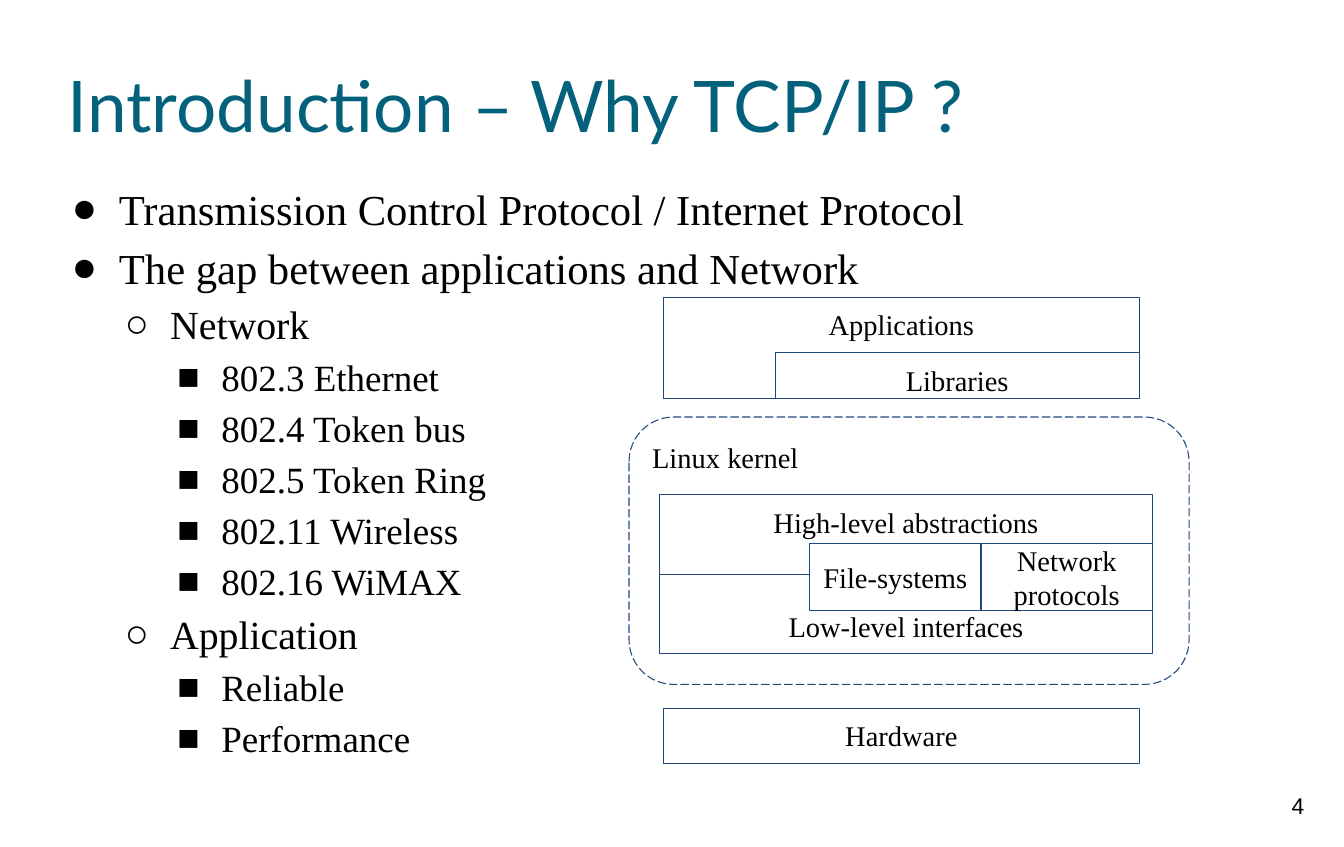
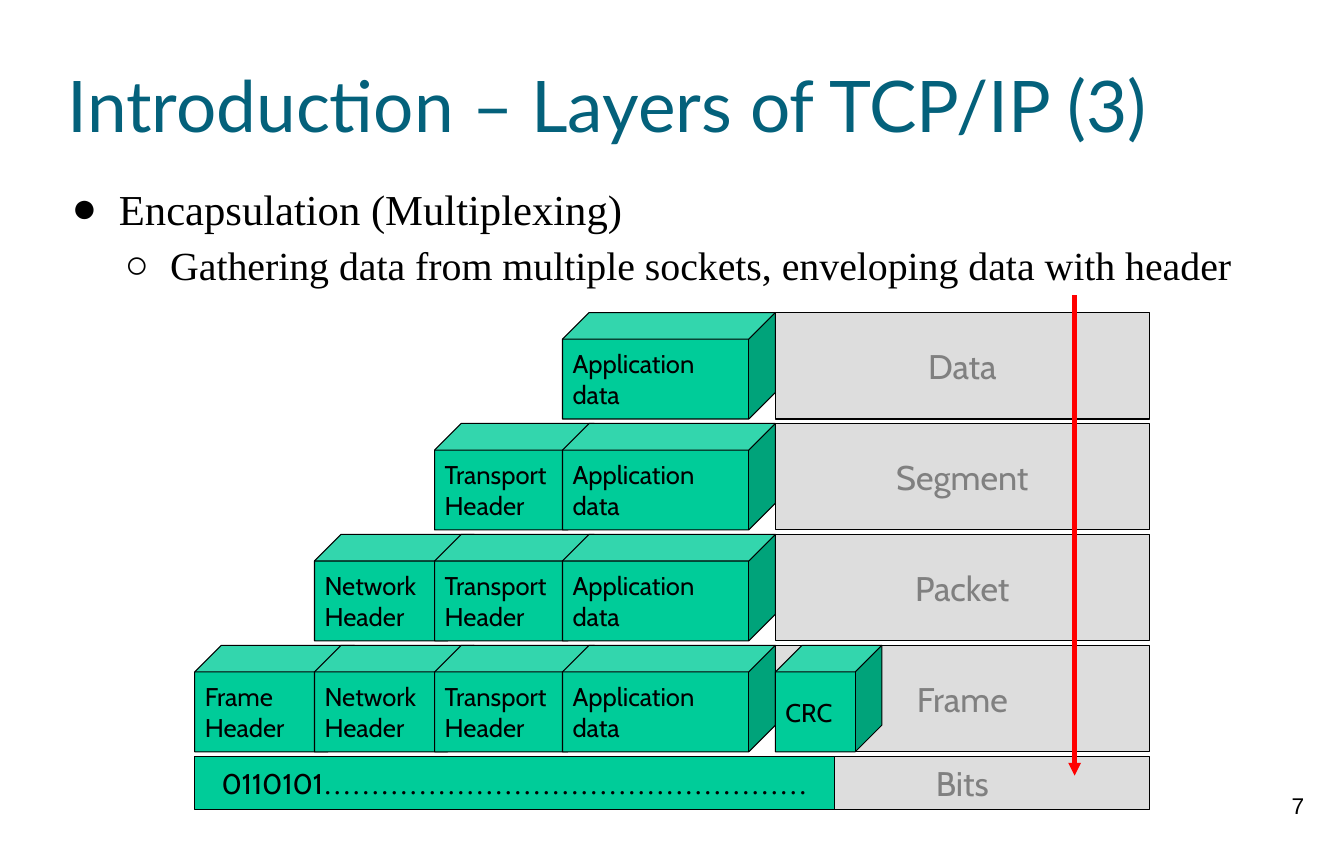
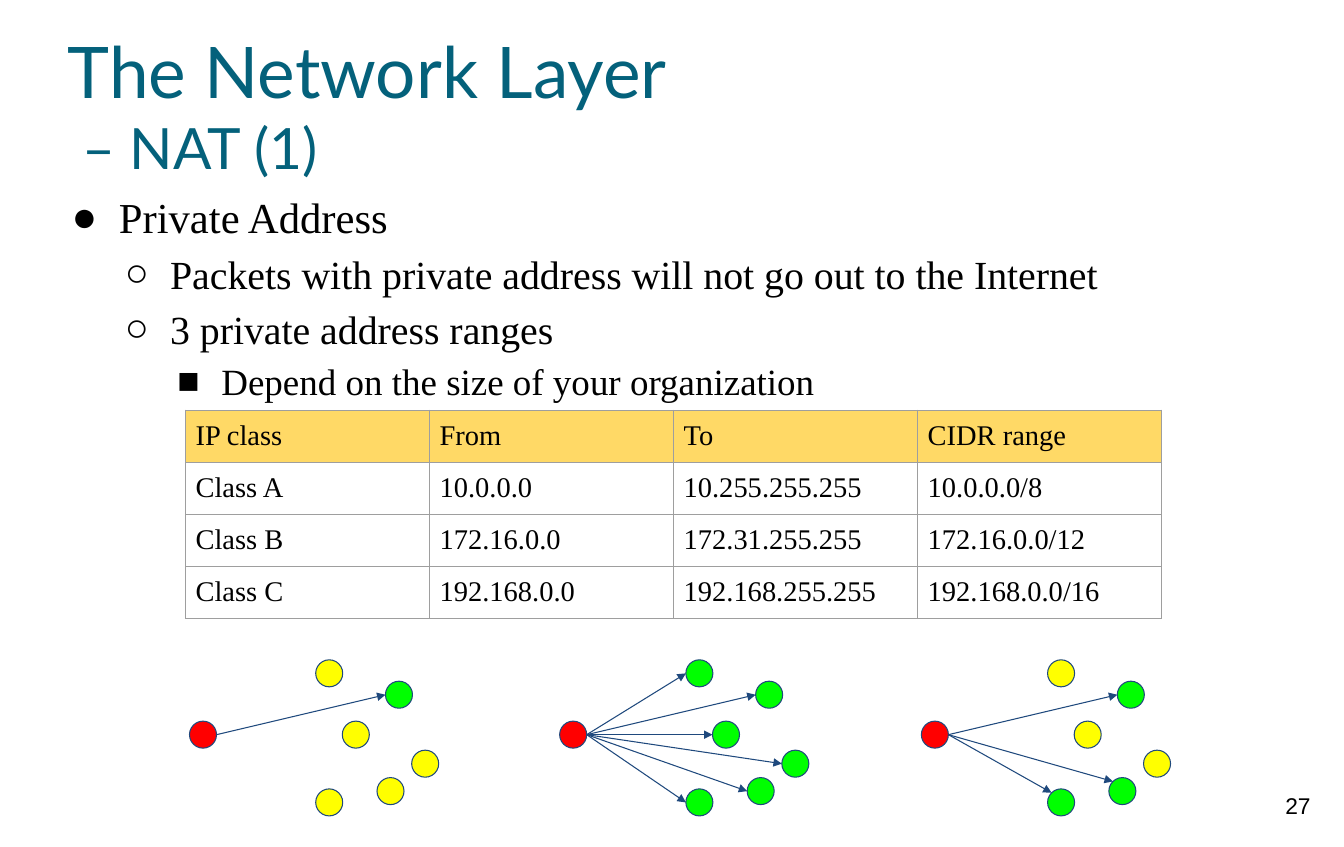
import pptx
import pptx.dml.color
import pptx.enum.dml
import pptx.enum.shapes
import pptx.enum.text
import pptx.oxml
import pptx.oxml.ns
import pptx.util
from lxml import etree

Cm = pptx.util.Cm
Pt = pptx.util.Pt
SHAPE = pptx.enum.shapes.MSO_SHAPE
ALIGN = pptx.enum.text.PP_ALIGN
ANCHOR = pptx.enum.text.MSO_ANCHOR
qn = pptx.oxml.ns.qn

COLORS = {
    "title": "04617B",
    "text": "000000",
    "paper": "FFFFFF",
    "outline": "1F497D",
    "cube": "00CC99",
    "band": "DDDDDD",
    "label": "808080",
    "red": "FF0000",
    "yellow": "FFFF00",
    "green": "00FF00",
    "header": "FFD966",
    "grid": "9E9E9E",
}
SERIF = "Times New Roman"
SANS = "Cabin"
LEVELS = [
    {"bullet": "●", "size": 30, "left": 1.27, "hanging": 1.17},
    {"bullet": "○", "size": 28, "left": 2.54, "hanging": 1.12},
    {"bullet": "■", "size": 26, "left": 3.81, "hanging": 1.09},
]
TITLE_BOX = (1.68, 0.84, 30, 3.5)
BODY_BOX = (1.68, 4.34, 30.07, 15.72)
NUMBER_BOX = (31.19, 19.38, 2, 1.6)


def rgb(color):
    return pptx.dml.color.RGBColor.from_string(COLORS[color])


def add_run(paragraph, text, size, font=SERIF, color="text"):
    run = paragraph.add_run()
    run.text = text
    run.font.size = Pt(size)
    run.font.name = font
    run.font.color.rgb = rgb(color)


def set_frame(frame, anchor, inset_x=0, inset_y=0):
    frame.word_wrap = True
    frame.vertical_anchor = anchor
    frame.margin_left = frame.margin_right = Cm(inset_x)
    frame.margin_top = frame.margin_bottom = Cm(inset_y)


def fill_frame(frame, lines, alignment):
    for index, runs in enumerate(lines):
        paragraph = frame.add_paragraph() if index else frame.paragraphs[0]
        paragraph.alignment = alignment
        for run in runs:
            add_run(paragraph, *run)


def add_text(slide, box, lines, anchor=ANCHOR.TOP, alignment=ALIGN.LEFT, inset=0):
    frame = slide.shapes.add_textbox(*map(Cm, box)).text_frame
    set_frame(frame, anchor, inset, inset)
    fill_frame(frame, lines, alignment)


def add_block(slide, kind, box, lines=(), fill=None, line="outline",
              alignment=ALIGN.CENTER, anchor=ANCHOR.MIDDLE, inset_y=0.25):
    shape = slide.shapes.add_shape(kind, *map(Cm, box))
    shape.shadow.inherit = False
    if fill:
        shape.fill.solid()
        shape.fill.fore_color.rgb = rgb(fill)
    else:
        shape.fill.background()
    shape.line.color.rgb = rgb(line)
    shape.line.width = Pt(0.75)
    set_frame(shape.text_frame, anchor, 0.25, inset_y)
    fill_frame(shape.text_frame, lines, alignment)
    return shape


def add_arrow(slide, start, end, color, width):
    connector = slide.shapes.add_connector(
        pptx.enum.shapes.MSO_CONNECTOR.STRAIGHT, *map(Cm, (*start, *end)))
    connector.line.color.rgb = rgb(color)
    connector.line.width = Pt(width)
    line = connector.line._get_or_add_ln()
    etree.SubElement(line, qn("a:tailEnd"), type="triangle")
    etree.SubElement(connector._element.spPr, qn("a:effectLst"))


def add_bullets(slide, box, items):
    frame = slide.shapes.add_textbox(*map(Cm, box)).text_frame
    set_frame(frame, ANCHOR.TOP)
    for index, (level, text) in enumerate(items):
        style = LEVELS[level]
        paragraph = frame.add_paragraph() if index else frame.paragraphs[0]
        paragraph.level = level
        paragraph.line_spacing = 1.15
        properties = paragraph._p.get_or_add_pPr()
        properties.set("marL", str(Cm(style["left"])))
        properties.set("indent", str(-Cm(style["hanging"])))
        color = etree.SubElement(properties, qn("a:buClr"))
        etree.SubElement(color, qn("a:srgbClr"), val=COLORS["text"])
        etree.SubElement(properties, qn("a:buFont"), typeface=SERIF)
        etree.SubElement(properties, qn("a:buChar"), char=style["bullet"])
        add_run(paragraph, text, style["size"])


def add_page(presentation, number, title_lines, items, body_box=BODY_BOX):
    slide = presentation.slides.add_slide(presentation.slide_layouts[6])
    add_text(slide, NUMBER_BOX, [[(str(number), 16, "Arial")]],
             alignment=ALIGN.CENTER, inset=0.25)
    add_text(slide, TITLE_BOX,
             [[(text, size, "Lato", "title")] for text, size in title_lines],
             anchor=ANCHOR.MIDDLE)
    add_bullets(slide, body_box, items)
    return slide


def add_system_layers(slide, left, top):
    def layer(text, x, y, width, height, fill=None, anchor=ANCHOR.TOP,
              kind=SHAPE.RECTANGLE, alignment=ALIGN.CENTER):
        return add_block(slide, kind, (left + x, top + y, width, height),
                         [[(text, 20)]], fill, anchor=anchor, alignment=alignment)

    layer("Applications", 0.86, 0, 11.79, 2.51, "paper")
    layer("Libraries", 3.63, 1.37, 9.02, 1.14)
    kernel = layer("Linux kernel", 0, 2.97, 13.89, 6.63,
                   kind=SHAPE.ROUNDED_RECTANGLE, alignment=ALIGN.LEFT)
    kernel.line.dash_style = pptx.enum.dml.MSO_LINE.LONG_DASH
    layer("High-level abstractions", 0.76, 4.9, 12.22, 1.97)
    layer("Low-level interfaces", 0.76, 6.87, 12.22, 1.97, anchor=ANCHOR.BOTTOM)
    for index, text in enumerate(["File-systems", "Network protocols"]):
        layer(text, 4.48 + index * 4.25, 6.1, 4.25, 1.68, "paper", ANCHOR.MIDDLE)
    layer("Hardware", 0.86, 10.19, 11.79, 1.37, "paper")


def add_encapsulation(slide, left, top):
    pitch, height, band_left, band_width = 2.75, 2.64, 14.4, 9.27
    units = [
        (0, 3.96, ["Frame", "Header"]),
        (2.97, 3.96, ["Network", "Header"]),
        (5.95, 3.96, ["Transport", "Header"]),
        (9.12, 5.28, ["Application data"]),
    ]
    trailer = (band_left, height, ["CRC"])

    def band(text, y, band_height):
        add_block(slide, SHAPE.RECTANGLE,
                  (left + band_left, y, band_width, band_height),
                  [[(text, 24, SANS, "label")]], "band", "text", inset_y=0.13)

    names = ["Data", "Segment", "Packet", "Frame"]
    for row, name in enumerate(names):
        y = top + row * pitch
        band(name, y, height)
        cubes = units[-row - 1:] + ([trailer] if name == "Frame" else [])
        for x, width, words in cubes:
            add_block(slide, SHAPE.CUBE, (left + x, y, width, height),
                      [[(word, 18, SANS)] for word in words], "cube", "text",
                      ALIGN.LEFT, inset_y=0.13)
    bits_top = top + len(names) * pitch
    band("Bits", bits_top, height / 2)
    add_block(slide, SHAPE.RECTANGLE, (left, bits_top, 15.87, height / 2),
              [[("0110101", 20, SANS), ("……………………………………………", 20)]],
              "cube", "text", inset_y=0.13)
    arrow_x = left + 21.82
    add_arrow(slide, (arrow_x, top - 0.43), (arrow_x, bits_top + 0.48), "red", 3)


def add_address_table(slide, box, rows):
    shape = slide.shapes.add_table(len(rows), len(rows[0]), *map(Cm, box))
    table = shape.table
    table.first_row = table.horz_banding = False
    for row_index, row in enumerate(rows):
        for column_index, text in enumerate(row):
            cell = table.cell(row_index, column_index)
            cell.margin_left = cell.margin_right = cell.margin_top = Cm(0.25)
            cell.margin_bottom = Cm(0.15)
            add_run(cell.text_frame.paragraphs[0], text, 20)
            properties = cell._tc.get_or_add_tcPr()
            for side in ("lnL", "lnR", "lnT", "lnB"):
                border = etree.SubElement(properties, qn("a:" + side), w=str(Pt(0.75)))
                fill = etree.SubElement(border, qn("a:solidFill"))
                etree.SubElement(fill, qn("a:srgbClr"), val=COLORS["grid"])
            cell.fill.solid()
            cell.fill.fore_color.rgb = rgb("paper" if row_index else "header")


def add_delivery(slide, left, top, receivers):
    diameter = 0.67
    radius = diameter / 2
    nodes = [(3.13, 0), (4.86, 0.53), (5.51, 2.24),
             (3.79, 1.52), (3.13, 3.2), (4.65, 2.92)]

    def node(x, y, color):
        add_block(slide, SHAPE.OVAL, (left + x, top + y, diameter, diameter), fill=color)

    node(0, 1.52, "red")
    for index, (x, y) in enumerate(nodes):
        node(x, y, "green" if index in receivers else "yellow")
    start = (left + diameter, top + 1.52 + radius)
    for index, (shift_x, shift_y) in receivers.items():
        x, y = nodes[index]
        add_arrow(slide, start, (left + x + shift_x, top + y + radius + shift_y),
                  "outline", 0.75)


def main():
    presentation = pptx.Presentation()
    presentation.slide_width = Cm(33.33)
    presentation.slide_height = Cm(21)

    slide = add_page(presentation, 4, [("Introduction – Why TCP/IP ?", 50)], [
        (0, "Transmission Control Protocol / Internet Protocol"),
        (0, "The gap between applications and Network"),
        (1, "Network"),
        (2, "802.3 Ethernet"),
        (2, "802.4 Token bus"),
        (2, "802.5 Token Ring"),
        (2, "802.11 Wireless"),
        (2, "802.16 WiMAX"),
        (1, "Application"),
        (2, "Reliable"),
        (2, "Performance"),
    ])
    add_system_layers(slide, 15.6, 7.37)

    slide = add_page(presentation, 7, [("Introduction – Layers of TCP/IP (3)", 50)], [
        (0, "Encapsulation (Multiplexing)"),
        (1, "Gathering data from multiple sockets, enveloping data with header"),
    ])
    add_encapsulation(slide, 4.83, 7.75)

    slide = add_page(
        presentation, 27, [("The Network Layer", 50), (" – NAT (1)", 40)], [
            (0, "Private Address"),
            (1, "Packets with private address will not go out to the Internet"),
            (1, "3 private address ranges"),
            (2, "Depend on the size of your organization"),
        ], (1.68, 4.55, 30.07, 5.82))
    add_address_table(slide, (4.6, 10.17, 24.21, 5.16), [
        ["IP class", "From", "To", "CIDR range"],
        ["Class A", "10.0.0.0", "10.255.255.255", "10.0.0.0/8"],
        ["Class B", "172.16.0.0", "172.31.255.255", "172.16.0.0/12"],
        ["Class C", "192.168.0.0", "192.168.255.255", "192.168.0.0/16"],
    ])
    side, corner = (0, 0), (0.1, -0.24)
    add_delivery(slide, 4.7, 16.36, {1: side})
    add_delivery(slide, 13.88, 16.36, {index: side for index in range(6)})
    add_delivery(slide, 22.85, 16.36, {1: side, 4: corner, 5: corner})

    presentation.save("out.pptx")


if __name__ == "__main__":
    main()
